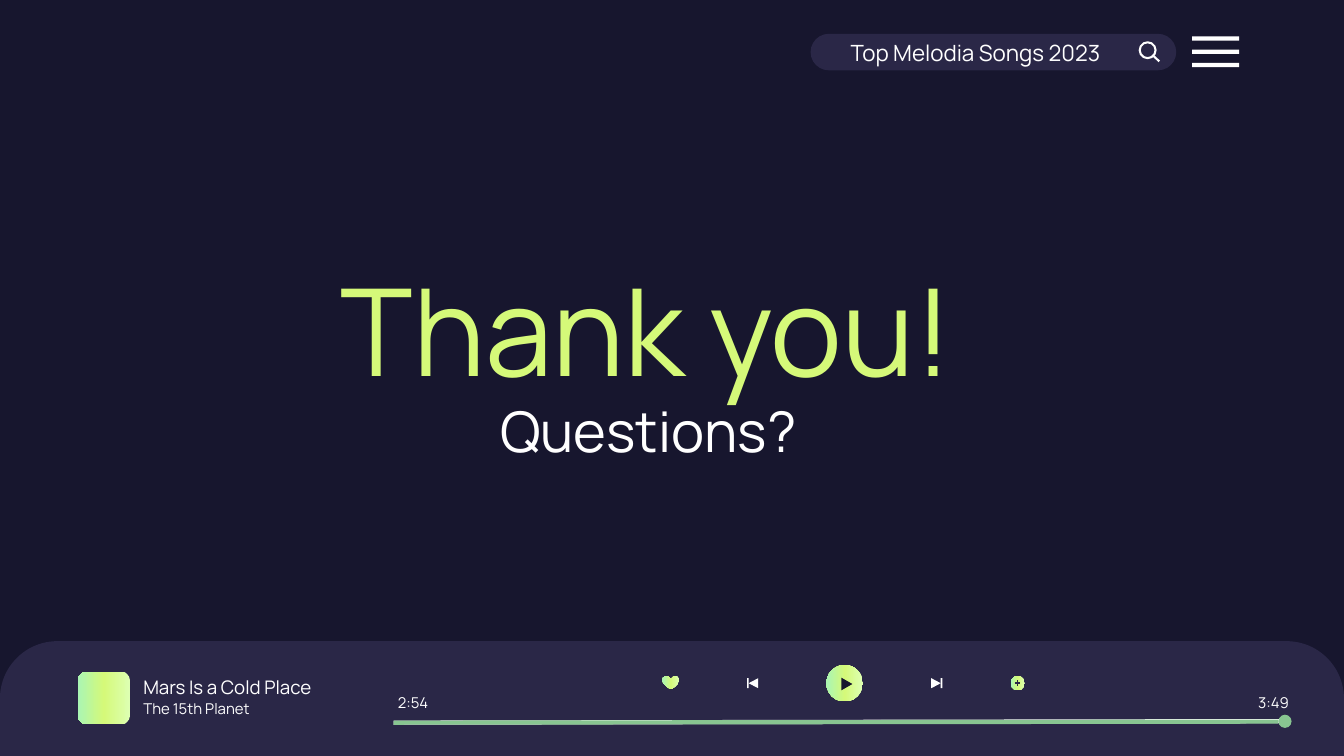
from dataclasses import dataclass

import pptx
import pptx.dml.color
import pptx.enum.shapes
import pptx.enum.text
import pptx.oxml.ns
import pptx.util
from copy import deepcopy
from lxml import etree
from pptx.util import Cm

SHAPE = pptx.enum.shapes.MSO_SHAPE
ALIGN = pptx.enum.text.PP_ALIGN
ANCHOR = pptx.enum.text.MSO_ANCHOR

NIGHT, PANEL, WHITE = "17162E", "2A2747", "FFFFFF"
LIME, GREEN = "D5F979", "88C591"
GLOW = ("DDFFB2", LIME, "A9F5B4")


@dataclass
class Label:
    text: str
    x: float
    y: float
    w: float
    h: float
    size: float
    color: str = WHITE
    align: ALIGN = ALIGN.LEFT
    anchor: ANCHOR = ANCHOR.MIDDLE
    left: float = 0.25
    right: float = 0.25
    spacing: float = 1.0
    after: float = 0


@dataclass
class Block:
    kind: SHAPE
    x: float
    y: float
    w: float
    h: float
    fill: str | tuple[str, ...]
    adj: tuple[float, ...] = ()


@dataclass
class Line:
    x1: float
    y1: float
    x2: float
    y2: float
    color: str
    width: float


def rgb(color: str) -> pptx.dml.color.RGBColor:
    return pptx.dml.color.RGBColor.from_string(color)


def paint(sp, fill: str | tuple[str, ...]) -> None:
    """Fill with one colour, or with an even gradient running right to left."""
    sp.shadow.inherit = False
    sp.line.fill.background()
    if isinstance(fill, str):
        sp.fill.solid()
        sp.fill.fore_color.rgb = rgb(fill)
        return
    sp.fill.gradient()
    sp.fill.gradient_angle = 180
    last = sp.fill.gradient_stops[1]._gs
    last.addprevious(deepcopy(last))
    for i, (stop, color) in enumerate(zip(sp.fill.gradient_stops, fill)):
        stop.position = i / (len(fill) - 1)
        stop.color.rgb = rgb(color)


def add_block(s, b: Block):
    sp = s.shapes.add_shape(b.kind, Cm(b.x), Cm(b.y), Cm(b.w), Cm(b.h))
    for i, value in enumerate(b.adj):
        sp.adjustments[i] = value
    paint(sp, b.fill)
    return sp


def add_triangle(s, base: float, tip: float, y: float, h: float, color: str) -> None:
    """Sideways triangle with a vertical base."""
    fb = s.shapes.build_freeform(Cm(base), Cm(y))
    fb.add_line_segments([(Cm(base), Cm(y + h)), (Cm(tip), Cm(y + h / 2))])
    paint(fb.convert_to_shape(), color)


def add_line(s, ln: Line) -> None:
    c = s.shapes.add_connector(pptx.enum.shapes.MSO_CONNECTOR.STRAIGHT,
                               Cm(ln.x1), Cm(ln.y1), Cm(ln.x2), Cm(ln.y2))
    c.line.color.rgb = rgb(ln.color)
    c.line.width = pptx.util.Pt(ln.width)
    etree.SubElement(c._element.spPr, pptx.oxml.ns.qn("a:effectLst"))


def add_label(s, lb: Label) -> None:
    tf = s.shapes.add_textbox(Cm(lb.x), Cm(lb.y), Cm(lb.w), Cm(lb.h)).text_frame
    tf.word_wrap = True
    tf.vertical_anchor = lb.anchor
    tf.margin_left, tf.margin_right = Cm(lb.left), Cm(lb.right)
    tf.margin_top = tf.margin_bottom = Cm(0.25)
    tf.text = lb.text
    p = tf.paragraphs[0]
    p.alignment = lb.align
    p.line_spacing = lb.spacing
    p.space_after = pptx.util.Pt(lb.after)
    r = p.runs[0]
    r.font.name = "Manrope"
    r.font.size = pptx.util.Pt(lb.size)
    r.font.color.rgb = rgb(lb.color)


def draw_search_bar(s) -> None:
    add_block(s, Block(SHAPE.ROUNDED_RECTANGLE, 15.32, 0.64, 6.91, 0.69, PANEL, (0.5,)))
    for i in range(3):
        add_block(s, Block(SHAPE.RECTANGLE, 22.53, 0.69 + 0.25 * i, 0.89, 0.08, WHITE))
    lens = add_block(s, Block(SHAPE.OVAL, 21.54, 0.8, 0.3, 0.3, PANEL))
    lens.fill.background()
    lens.line.color.rgb = rgb(WHITE)
    lens.line.width = pptx.util.Pt(1.1)
    add_line(s, Line(21.79, 1.05, 21.91, 1.16, WHITE, 1.1))
    add_label(s, Label("Top Melodia Songs 2023", 14.4, 0.48, 6.81, 0.94, 12,
                       align=ALIGN.CENTER, left=1.52, spacing=1.15, after=16))


def draw_player(s) -> None:
    add_block(s, Block(SHAPE.ROUND_2_SAME_RECTANGLE, 0, 12.12, 25.4, 2.17, PANEL, (0.5, 0)))
    add_block(s, Block(SHAPE.ROUNDED_RECTANGLE, 1.47, 12.7, 0.99, 0.99, GLOW, (0.167,)))
    for lb in (
        Label("Mars Is a Cold Place", 2.46, 12.78, 4.85, 0.43, 10),
        Label("The 15th Planet", 2.46, 13.18, 2.92, 0.43, 8),
        Label("2:54", 7.52, 13.06, 0.69, 0.43, 8, left=0, right=0),
        Label("3:49", 23.67, 13.06, 0.69, 0.43, 8, align=ALIGN.RIGHT, left=0, right=0),
    ):
        add_label(s, lb)

    add_block(s, Block(SHAPE.HEART, 12.52, 12.78, 0.32, 0.25, GLOW))
    add_block(s, Block(SHAPE.OVAL, 19.1, 12.78, 0.27, 0.27, GLOW))
    add_line(s, Line(19.23, 12.86, 19.23, 12.96, PANEL, 0.75))
    add_line(s, Line(19.18, 12.91, 19.28, 12.91, PANEL, 0.75))
    add_block(s, Block(SHAPE.OVAL, 15.62, 12.57, 0.69, 0.69, GLOW))
    add_triangle(s, 15.9, 16.11, 12.81, 0.24, NIGHT)
    for base, tip, bar in ((14.33, 14.15, 14.12), (17.6, 17.78, 17.78)):
        add_triangle(s, base, tip, 12.82, 0.19, WHITE)
        add_block(s, Block(SHAPE.RECTANGLE, bar, 12.82, 0.03, 0.19, WHITE))

    add_line(s, Line(7.44, 13.66, 24.36, 13.63, WHITE, 2.25))
    add_block(s, Block(SHAPE.OVAL, 24.16, 13.51, 0.25, 0.25, GREEN))
    add_line(s, Line(7.44, 13.66, 24.16, 13.64, GREEN, 2.25))


def main() -> None:
    prs = pptx.Presentation()
    prs.slide_width, prs.slide_height = Cm(25.4), Cm(14.29)
    s = prs.slides.add_slide(prs.slide_layouts[6])
    s.background.fill.solid()
    s.background.fill.fore_color.rgb = rgb(NIGHT)

    draw_search_bar(s)
    draw_player(s)
    add_label(s, Label("Thank you!", 3.43, 5.03, 17.6, 2.34, 65, LIME, ALIGN.CENTER))
    add_label(s, Label("Questions?", 6.25, 7.24, 12.01, 1.8, 30,
                       align=ALIGN.CENTER, anchor=ANCHOR.TOP))
    prs.save("out.pptx")


if __name__ == "__main__":
    main()
